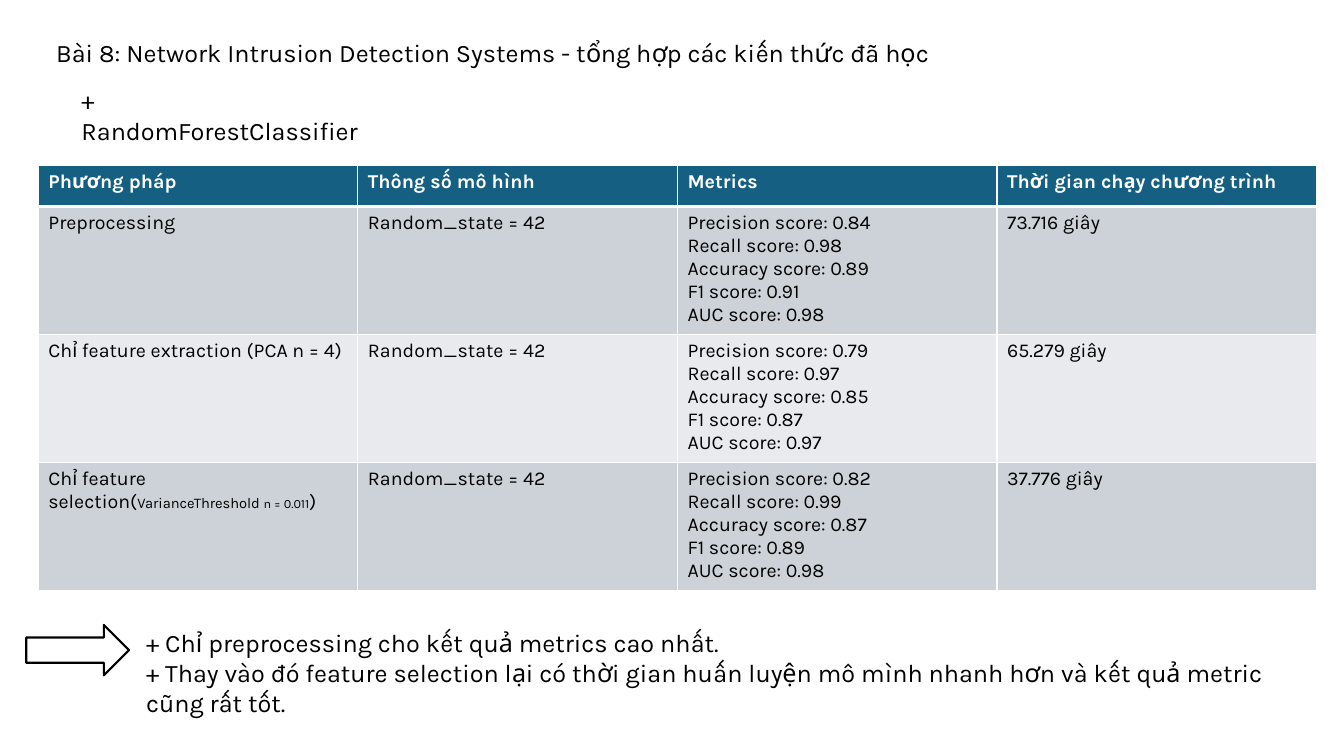
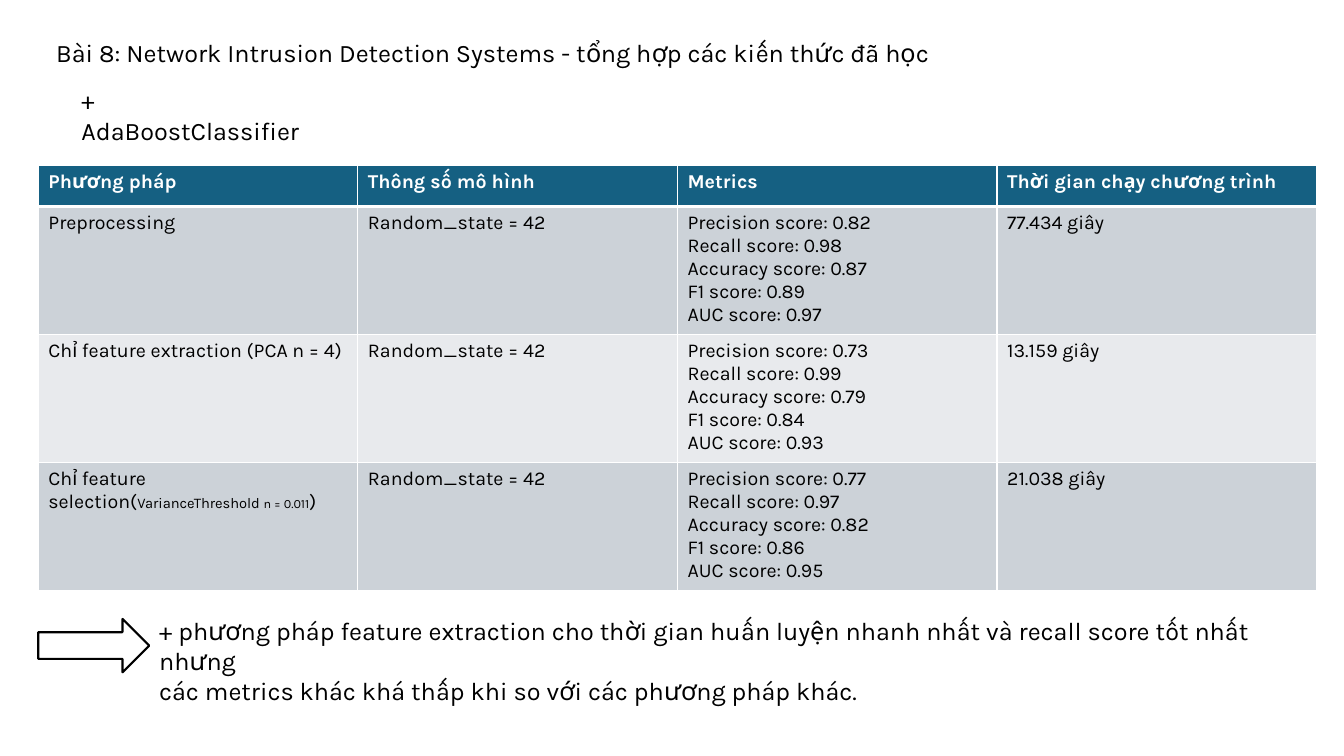
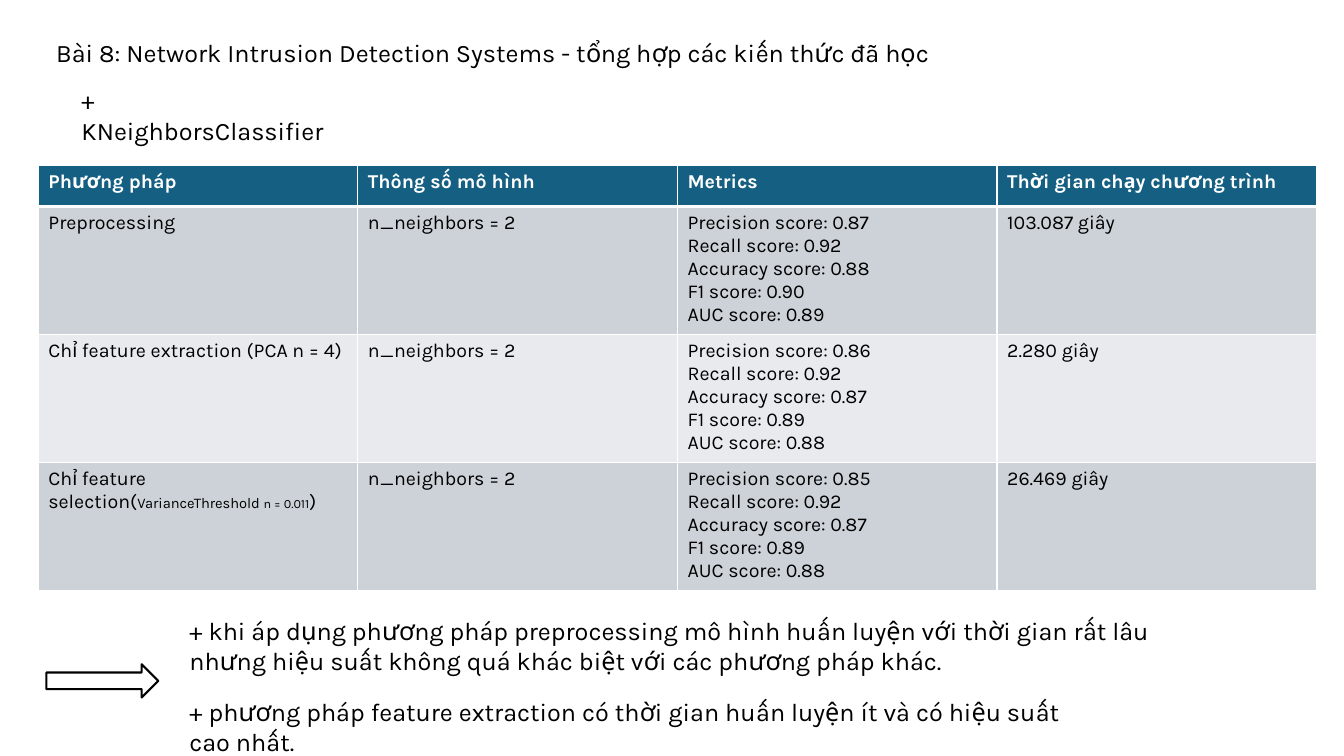
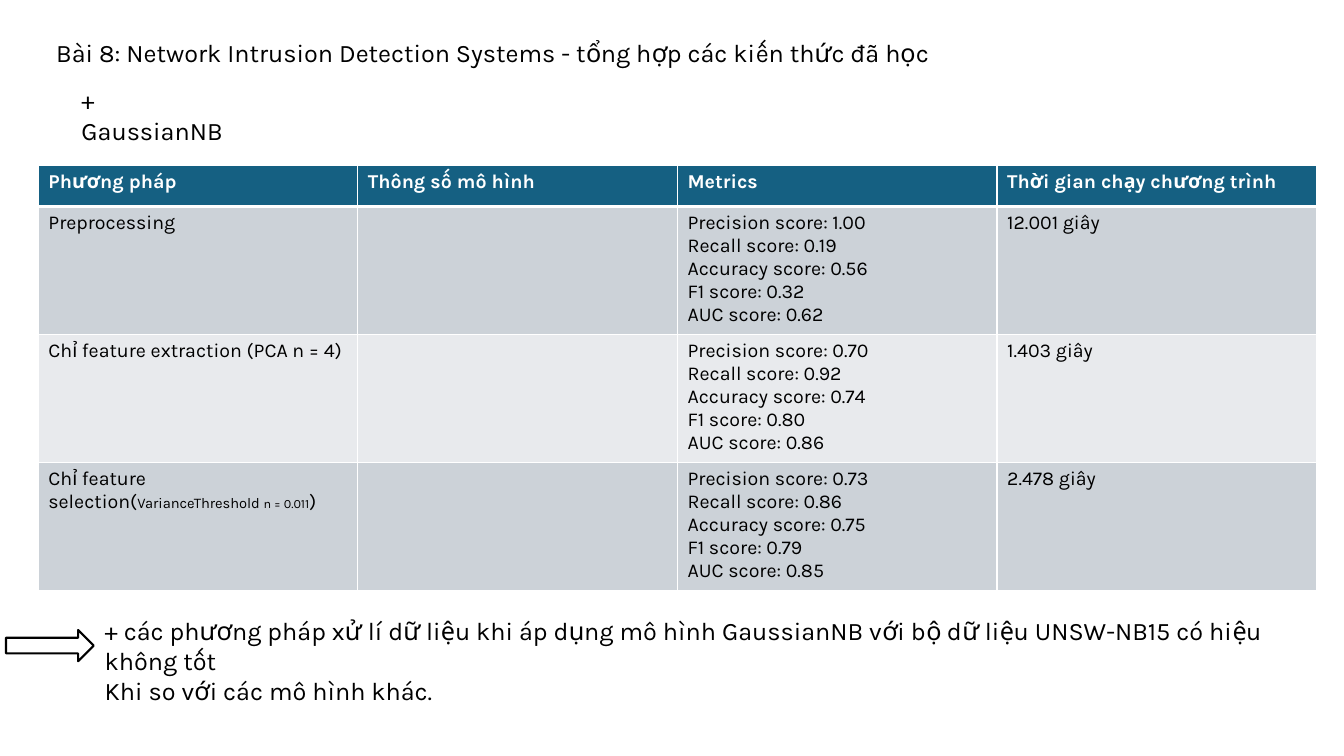
from dataclasses import dataclass

from lxml.etree import SubElement
from pptx import Presentation
from pptx.dml.color import RGBColor
from pptx.enum.shapes import MSO_SHAPE
from pptx.oxml.ns import qn
from pptx.util import Inches, Pt


@dataclass(frozen=True)
class Theme:
    font: str = "Karla"
    ink: str = "000000"
    paper: str = "FFFFFF"
    header: str = "156082"
    bands: tuple = ("CCD2D8", "E8EAED")
    body: float = 18
    cell: float = 14
    setting_name: float = 10.5
    setting_value: float = 9


theme = Theme()


def format_text(frame, size, color=theme.ink, bold=False):
    for paragraph in frame.paragraphs:
        for run in paragraph.runs:
            run.font.name = theme.font
            run.font.size = Pt(size)
            run.font.bold = bold
            run.font.color.rgb = RGBColor.from_string(color)


def add_text(slide, text, left, top, width, height):
    box = slide.shapes.add_textbox(Inches(left), Inches(top), Inches(width), Inches(height))
    box.text_frame.word_wrap = True
    box.text_frame.text = text
    format_text(box.text_frame, theme.body)


lesson = "Bài 8: Network Intrusion Detection Systems - tổng hợp các kiến thức đã học"
headings = ["Phương pháp", "Thông số mô hình", "Metrics", "Thời gian chạy chương trình"]
methods = ["Preprocessing", "Chỉ feature extraction (PCA n = 4)", "Chỉ feature selection("]
threshold = [
    ("VarianceThreshold ", theme.setting_name),
    ("n = 0.011", theme.setting_value),
    (")", theme.cell),
]
metrics = ["Precision", "Recall", "Accuracy", "F1", "AUC"]
column_width = 3.17
row_heights = [0.41, 1.27, 1.27, 1.27]

models = [
    {
        "name": "RandomForestClassifier",
        "name_width": 3.08,
        "setting": "Random_state = 42",
        "scores": [
            ("0.84 0.98 0.89 0.91 0.98", "73.716"),
            ("0.79 0.97 0.85 0.87 0.97", "65.279"),
            ("0.82 0.99 0.87 0.89 0.98", "37.776"),
        ],
        "arrow": (0.26, 6.2, 1.02, 0.5),
        "conclusions": [
            (
                "+ Chỉ preprocessing cho kết quả metrics cao nhất.\n"
                "+ Thay vào đó feature selection lại có thời gian huấn luyện mô mình nhanh hơn "
                "và kết quả metric cũng rất tốt.",
                (1.35, 6.17, 11.85, 0.71),
            ),
        ],
    },
    {
        "name": "AdaBoostClassifier",
        "name_width": 2.48,
        "setting": "Random_state = 42",
        "scores": [
            ("0.82 0.98 0.87 0.89 0.97", "77.434"),
            ("0.73 0.99 0.79 0.84 0.93", "13.159"),
            ("0.77 0.97 0.82 0.86 0.95", "21.038"),
        ],
        "arrow": (0.38, 6.14, 1.1, 0.53),
        "conclusions": [
            (
                "+ phương pháp feature extraction cho thời gian huấn luyện nhanh nhất "
                "và recall score tốt nhất nhưng\n"
                "các metrics khác khá thấp khi so với các phương pháp khác.",
                (1.48, 6.05, 11.08, 0.71),
            ),
        ],
    },
    {
        "name": "KNeighborsClassifier",
        "name_width": 2.68,
        "setting": "n_neighbors = 2",
        "scores": [
            ("0.87 0.92 0.88 0.90 0.89", "103.087"),
            ("0.86 0.92 0.87 0.89 0.88", "2.280"),
            ("0.85 0.92 0.87 0.89 0.88", "26.469"),
        ],
        "arrow": (0.46, 6.59, 1.11, 0.33),
        "conclusions": [
            (
                "+ khi áp dụng phương pháp preprocessing mô hình huấn luyện với thời gian rất lâu\n"
                "nhưng hiệu suất không quá khác biệt với các phương pháp khác.",
                (1.78, 6.05, 11.55, 0.71),
            ),
            (
                "+ phương pháp feature extraction có thời gian huấn luyện ít "
                "và có hiệu suất cao nhất.",
                (1.78, 6.86, 9.28, 0.4),
            ),
        ],
    },
    {
        "name": "GaussianNB",
        "name_width": 1.77,
        "setting": "",
        "scores": [
            ("1.00 0.19 0.56 0.32 0.62", "12.001"),
            ("0.70 0.92 0.74 0.80 0.86", "1.403"),
            ("0.73 0.86 0.75 0.79 0.85", "2.478"),
        ],
        "arrow": (0.06, 6.25, 0.87, 0.31),
        "conclusions": [
            (
                "+ các phương pháp xử lí dữ liệu khi áp dụng mô hình GaussianNB "
                "với bộ dữ liệu UNSW-NB15 có hiệu không tốt\n"
                "Khi so với các mô hình khác.",
                (0.94, 6.05, 12.05, 0.71),
            ),
        ],
    },
]

deck = Presentation()
deck.slide_width = Inches(13.33)
deck.slide_height = Inches(7.5)

for model in models:
    slide = deck.slides.add_slide(deck.slide_layouts[6])
    add_text(slide, lesson, 0.46, 0.32, 10.7, 0.4)
    add_text(slide, "+ " + model["name"], 0.71, 0.79, model["name_width"], 0.71)

    rows = [headings]
    for method, (scores, seconds) in zip(methods, model["scores"]):
        score_lines = [f"{metric} score: {score}" for metric, score in zip(metrics, scores.split())]
        rows.append([method, model["setting"], "\n".join(score_lines), f"{seconds} giây"])

    results = slide.shapes.add_table(
        len(rows), len(headings), Inches(0.38), Inches(1.64),
        Inches(column_width * len(headings)), Inches(sum(row_heights)),
    ).table
    for column in results.columns:
        column.width = Inches(column_width)
    for row_index, (row, height) in enumerate(zip(rows, row_heights)):
        results.rows[row_index].height = Inches(height)
        is_header = row_index == 0
        fill = theme.header if is_header else theme.bands[(row_index - 1) % 2]
        borders = {
            "a:lnL": 1,
            "a:lnR": 1,
            "a:lnT": 3 if row_index == 1 else 1,
            "a:lnB": 3 if is_header else 1,
        }
        for column_index, text in enumerate(row):
            cell = results.cell(row_index, column_index)
            cell.text_frame.text = text
            format_text(cell.text_frame, theme.cell, theme.paper if is_header else theme.ink, is_header)
            properties = cell._tc.get_or_add_tcPr()
            for edge, width in borders.items():
                line = SubElement(properties, qn(edge), w=str(Pt(width)))
                SubElement(SubElement(line, qn("a:solidFill")), qn("a:srgbClr"), val=theme.paper)
            cell.fill.solid()
            cell.fill.fore_color.rgb = RGBColor.from_string(fill)

    selection = results.cell(len(methods), 0).text_frame
    for text, size in threshold:
        run = selection.paragraphs[0].add_run()
        run.text = text
    format_text(selection, theme.cell)
    for run, (text, size) in zip(selection.paragraphs[0].runs[1:], threshold):
        run.font.size = Pt(size)

    for text, place in model["conclusions"]:
        add_text(slide, text, *place)

    arrow = slide.shapes.add_shape(MSO_SHAPE.RIGHT_ARROW, *[Inches(length) for length in model["arrow"]])
    arrow.shadow.inherit = False
    arrow.fill.solid()
    arrow.fill.fore_color.rgb = RGBColor.from_string(theme.paper)
    arrow.line.color.rgb = RGBColor.from_string(theme.ink)
    arrow.line.width = Pt(1.5)

deck.save("out.pptx")
